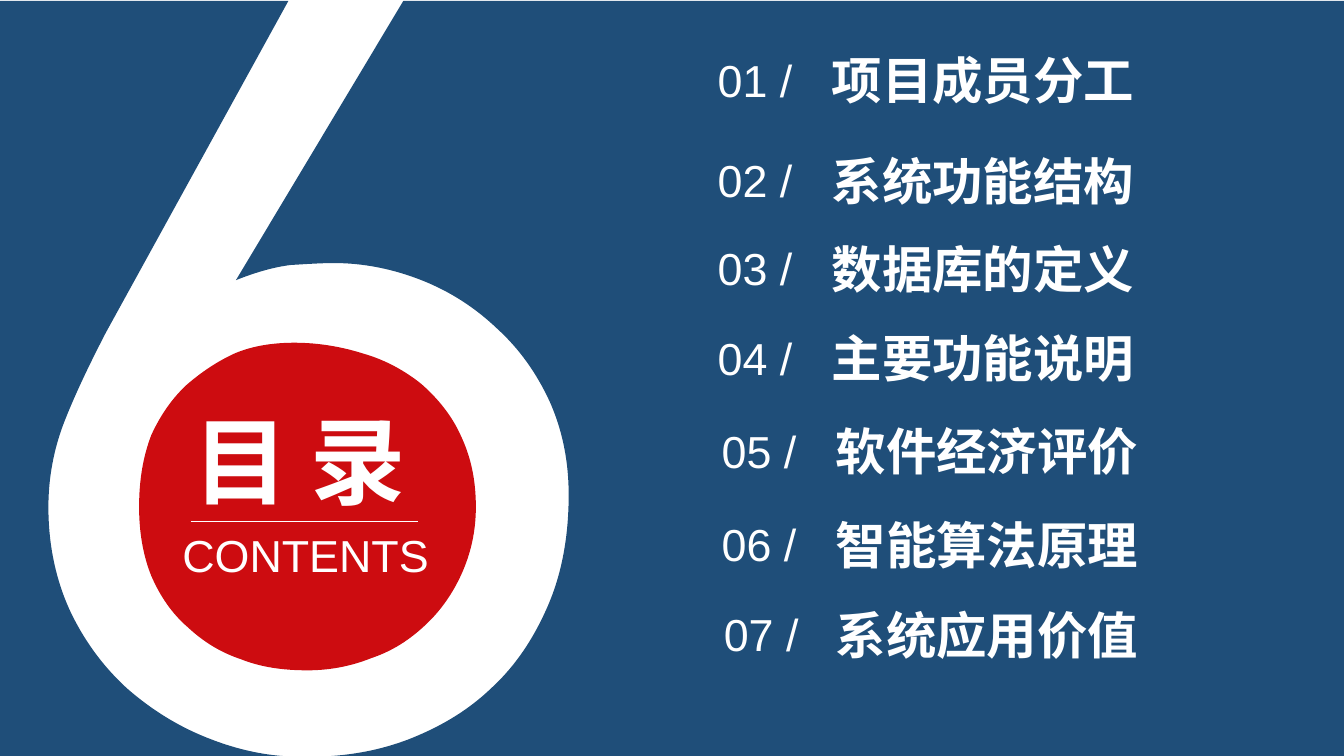
from typing import NamedTuple

from lxml import etree
from pptx import Presentation
from pptx.dml.color import RGBColor
from pptx.enum.shapes import MSO_CONNECTOR
from pptx.enum.text import MSO_AUTO_SIZE
from pptx.oxml.ns import qn
from pptx.util import Inches, Pt

STRAIGHT = MSO_CONNECTOR.STRAIGHT
FIT_SHAPE = MSO_AUTO_SIZE.SHAPE_TO_FIT_TEXT
COLUMNS, ROWS = 1333, 750
CELL = Inches(0.01)
FONT = "Arial"
COLOURS = {"navy": "1F4E79", "red": "CD0C10", "white": "FFFFFF"}


class Outline(NamedTuple):
    colour: str
    start: tuple[int, int]
    segments: list[tuple[int, ...]]


class Label(NamedTuple):
    text: str
    column: int
    row: int
    width: int
    height: int
    size: int
    bold: bool = False


class Entry(NamedTuple):
    title: str
    number_column: int
    title_column: int
    row: int
    title_width: int = 323


BACKDROP = [
    Outline("navy", (0, 1), [
        (286, 1), (105, 330),
        (89, 361, 75, 390, 64, 418), (53, 446, 48, 475, 48, 503),
        (48, 540, 55, 574, 69, 605), (83, 635, 102, 661, 126, 683),
        (150, 704, 177, 721, 208, 733), (231, 742, 255, 748, 279, 750),
        (295, 751), (0, 751), (0, 1),
    ]),
    Outline("navy", (400, 1), [
        (1333, 1), (1333, 751), (314, 751), (330, 750),
        (356, 748, 380, 743, 404, 734), (435, 722, 463, 706, 487, 683),
        (511, 661, 529, 634, 543, 602), (557, 570, 564, 533, 564, 491),
        (564, 458, 558, 427, 545, 398), (532, 370, 515, 346, 493, 326),
        (471, 305, 446, 289, 418, 278), (390, 267, 361, 261, 331, 261),
        (319, 261, 304, 262, 288, 263), (272, 265, 254, 270, 234, 278),
        (400, 1),
    ]),
]

DISC = Outline("red", (292, 340), [
    (316, 340, 339, 344, 361, 351), (382, 357, 402, 368, 418, 381),
    (434, 395, 448, 412, 457, 432), (467, 453, 472, 476, 472, 503),
    (472, 527, 467, 549, 458, 569), (449, 589, 437, 606, 422, 620),
    (406, 635, 389, 646, 368, 653), (348, 661, 327, 665, 305, 665),
    (281, 665, 259, 662, 239, 654), (218, 647, 201, 636, 186, 622),
    (171, 609, 159, 592, 150, 571), (142, 551, 138, 528, 138, 503),
    (138, 476, 142, 453, 150, 432), (159, 412, 171, 395, 185, 382),
    (200, 369, 215, 359, 232, 351), (248, 344, 268, 340, 292, 340),
])

HEADING = Label("目 录", 182, 394, 239, 125, 68, True)
SUBHEADING = Label("CONTENTS", 171, 519, 267, 64, 32)

ENTRIES = [
    Entry("项目成员分工\t", 702, 815, 44, 424),
    Entry("系统功能结构", 702, 815, 144),
    Entry("数据库的定义", 702, 815, 231),
    Entry("主要功能说明\t", 702, 815, 320, 424),
    Entry("软件经济评价", 706, 819, 412),
    Entry("智能算法原理", 706, 819, 505),
    Entry("系统应用价值", 708, 819, 594),
]


def colour(name: str) -> RGBColor:
    return RGBColor.from_string(COLOURS[name])


def bend(shape, outline: Outline) -> None:
    lines = list(shape._element.iter(qn("a:lnTo")))
    for line, segment in zip(lines, outline.segments):
        if len(segment) == 2:
            continue
        curve = etree.Element(qn("a:cubicBezTo"))
        for x, y in zip(segment[::2], segment[1::2]):
            point = etree.SubElement(curve, qn("a:pt"))
            point.set("x", str(x * CELL - shape.left))
            point.set("y", str(y * CELL - shape.top))
        line.getparent().replace(line, curve)


def draw_outline(shapes, outline: Outline) -> None:
    x, y = outline.start
    builder = shapes.build_freeform(x * CELL, y * CELL)
    ends = [(segment[-2] * CELL, segment[-1] * CELL) for segment in outline.segments]
    builder.add_line_segments(ends, close=True)
    shape = builder.convert_to_shape()
    bend(shape, outline)
    shape.shadow.inherit = False
    shape.fill.solid()
    shape.fill.fore_color.rgb = colour(outline.colour)
    shape.line.fill.background()


def draw_label(shapes, label: Label) -> None:
    place = (label.column, label.row, label.width, label.height)
    box = shapes.add_textbox(*(cells * CELL for cells in place))
    box.text_frame.word_wrap = False
    box.text_frame.auto_size = FIT_SHAPE
    para = box.text_frame.paragraphs[0]
    para.text = label.text
    para.font.name = FONT
    para.font.size = Pt(label.size)
    para.font.bold = label.bold
    para.font.color.rgb = colour("white")


def draw_rule(shapes, left: int, right: int, row: int) -> None:
    rule = shapes.add_connector(
        STRAIGHT, left * CELL, row * CELL, right * CELL, row * CELL
    )
    rule.line.color.rgb = colour("white")
    rule.line.width = Pt(0.5)
    etree.SubElement(rule._element.spPr, qn("a:effectLst"))


def draw_entry(shapes, number: int, entry: Entry) -> None:
    title = Label(entry.title, entry.title_column, entry.row, entry.title_width, 71, 36, True)
    draw_label(shapes, title)
    draw_label(shapes, Label(f"{number:02d} /", entry.number_column, entry.row + 3, 95, 64, 32))


def main() -> None:
    deck = Presentation()
    deck.slide_width = COLUMNS * CELL
    deck.slide_height = ROWS * CELL
    page = deck.slides.add_slide(deck.slide_layouts[6])
    page.background.fill.solid()
    page.background.fill.fore_color.rgb = colour("white")
    backdrop = page.shapes.add_group_shape()
    for outline in BACKDROP:
        draw_outline(backdrop.shapes, outline)
    draw_outline(page.shapes, DISC)
    draw_label(page.shapes, HEADING)
    draw_rule(page.shapes, 189, 415, 517)
    draw_label(page.shapes, SUBHEADING)
    for number, entry in enumerate(ENTRIES, start=1):
        draw_entry(page.shapes.add_group_shape().shapes, number, entry)
    deck.save("out.pptx")


if __name__ == "__main__":
    main()
